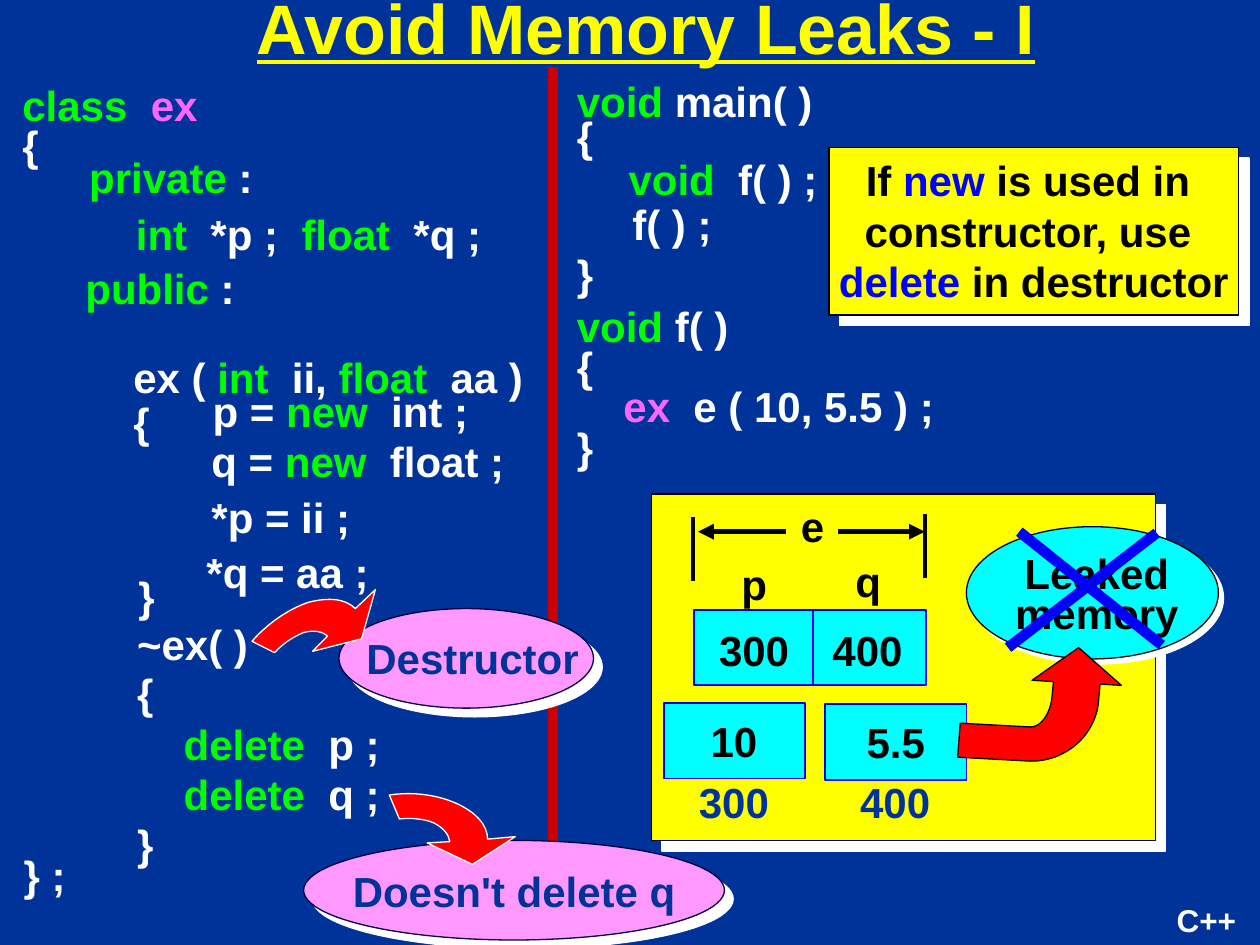
from math import cos, radians, sin

from pptx import Presentation
from pptx.util import Inches, Pt
from pptx.dml.color import RGBColor
from pptx.enum.shapes import MSO_CONNECTOR, MSO_SHAPE
from pptx.enum.text import PP_ALIGN
from pptx.oxml.ns import qn
from lxml.etree import SubElement

COLORS = dict(bg="003399", white="FFFFFF", green="00FF00", pink="FF66FF", yellow="FFFF00",
              black="000000", blue="0000FF", cyan="00FFFF", lilac="FF99FF", navy="000044",
              red="FF0000", divider="CC0000")
WIDTH, HEIGHT = Inches(10), Inches(7.5)
COLUMNS, ROWS = 100, 75
INDENT = 3.7

TITLE = ((16.7, -1.7, 69.1, 7.7), [(0, ["Avoid Memory Leaks - I"])])
CODE = [
    ((0.8, 6.6, 20, 7.4), 0.8, [
        (0, [("class  ", "green"), ("ex", "pink")]), (0, ["{"])]),
    ((6.1, 12.95, 35.5, 7.9), 0.6, [
        (0, [("private", "green"), " :"]),
        (INDENT, [("int", "green"), "  *p ;  ", ("float ", "green"), " *q ;"])]),
    ((5.8, 21.75, 14.3, 3.4), 0.6, [(0, [("public", "green"), " :"])]),
    ((9.6, 27.85, 35, 7.9), 0.9, [
        (0, ["ex ( ", ("int ", "green"), " ii, ", ("float ", "green"), " aa )"]), (0, ["{"])]),
    ((15.9, 30.1, 24, 5), 1, [(0, ["p = ", ("new", "green"), "  int ;"])]),
    ((15.8, 34.1, 27, 5), 1, [(0, ["q = ", ("new", "green"), "  float ;"])]),
    ((15.8, 38.5, 14, 5), 1, [(0, ["*p = ii ;"])]),
    ((15.4, 42.85, 16, 5), 1, [(0, ["*q = aa ;"])]),
    ((10, 44.8, 3.3, 5), 1, [(0, ["}"])]),
    ((9.9, 49.35, 12, 4), 0.8, [(0, ["~ex( )"])]),
    ((9.9, 52.5, 25, 17), 1, [
        (0, ["{"]), (INDENT, [("delete", "green"), "  p ;"]),
        (INDENT, [("delete", "green"), "  q ;"]), (0, ["}"])]),
    ((0.9, 66.9, 5.3, 5), 1, [(0, ["} ;"])]),
    ((44.8, 6.6, 22.3, 6.4), 0.7, [(0, [("void", "green"), " main( )"]), (0, ["{"])]),
    ((48.9, 11.7, 17, 5), 1, [(0, [("void ", "green"), " f( ) ;"])]),
    ((49.2, 15.3, 8.5, 5), 1, [(0, ["f( ) ;"])]),
    ((44.8, 19.2, 3.3, 5), 1, [(0, ["}"])]),
    ((44.8, 24.1, 34.4, 13.8), 0.8, [
        (0, [("void", "green"), " f( )"]), (0, ["{"]),
        (INDENT, [("ex", "pink"), "  e ( 10, 5.5 ) ;"]), (0, ["}"])]),
]
PRIVATE_GAP = {1: 15}

PANEL = (51.7, 39.2, 40, 27.5)
CELLS = [(55.1, 48.4, 18.4, 6), (52.7, 55.8, 11.2, 6), (65.5, 55.9, 11.2, 6)]
LABELS = [("p", "black", 59.85, 43.8), ("q", "black", 68.9, 43.6), ("e", "black", 64.5, 39.2),
          ("300", "black", 59.85, 49.1), ("400", "black", 68.85, 49.1),
          ("10", "black", 58.25, 56.3), ("5.5", "black", 71.1, 56.4),
          ("300", "bg", 58.25, 61.1), ("400", "bg", 71.05, 61.1)]
LABEL_WIDTH = 8.4
SPAN = [((55, 41), (55, 46.1), 2.25, False), ((73.4, 40.8), (73.4, 45.9), 2.25, False),
        ((55.4, 42.2), (62.4, 42.2), 3, True), ((73.4, 42.2), (66.5, 42.2), 3, True)]
NOTE_BOX, NOTE_TEXT_BOX = (65.8, 11.7, 32.5, 13.3), (65.2, 11.8, 33.7, 13)
NOTE = [(0, ["If ", ("new", "blue"), " is used in "]), (0, ["constructor, use "]),
        (0, [("delete", "blue"), " in destructor"])]
BALLOONS = [
    ((26.9, 48.3, 20.2, 7.9), (27.4, 49.7, 20.2, 5), "lilac", "navy", "bg", 7.1, ["Destructor"]),
    ((76.7, 41.8, 20, 10.5), (79, 43.7, 16.1, 7.4), "cyan", "black", "black", 4.2,
     ["Leaked", "memory"]),
    ((24.1, 66.7, 33.4, 7.9), (25.4, 68.2, 30.8, 5), "lilac", "navy", "bg", 7.1,
     ["Doesn't delete q"])]
CROSS = [((80.9, 42.2), (92.2, 51.2)), ((91.8, 42.3), (80, 51.4))]

ARROWS = [
    ("white", (16.4, 49, 14.2, 8.1), 315.3, [
        (26, 50.5), (25.6, 50.1, 24.9, 50, 24.1, 50.2), (23.4, 50.5, 22.5, 51, 21.8, 51.8),
        (20, 50.9), (21.3, 49.4, 23, 48.3, 24.5, 47.8), (26.1, 47.4, 27.4, 47.5, 28.2, 48.3),
        (29.8, 46.8), (28.7, 50.7), (24.8, 51.7)]),
    ("black", (78, 49.6, 9.2, 12.6), 93.2, [
        (76, 60.1), (81.5, 60.4), (84.5, 60.6, 87.1, 58.3, 87.2, 55.4), (87.3, 54.3),
        (89, 54.4), (85.6, 51.4), (81.9, 54), (83.6, 54.1), (83.5, 55.2),
        (83.4, 56.6, 82.6, 57.8, 81.7, 57.7), (76.2, 57.4)]),
    ("white", (25, 63, 14.2, 8.1), 356.4, [
        (35.7, 66.8), (35.6, 66.2, 35.2, 65.7, 34.4, 65.3), (33.7, 65, 32.7, 64.9, 31.7, 65),
        (30.9, 63.1), (32.8, 62.8, 34.8, 63.1, 36.3, 63.8), (37.8, 64.5, 38.7, 65.5, 38.7, 66.6),
        (40.9, 66.4), (37.5, 68.6), (33.9, 66.9)]),
]


def rgb(name):
    return RGBColor.from_string(COLORS[name])


def place(x, y):
    return round(x * WIDTH / COLUMNS), round(y * HEIGHT / ROWS)


def add_text(s, box, lines, color="white", size=24, align=PP_ALIGN.LEFT, spacing=1, gaps=(),
             underline=None, wrap=False):
    tf = s.shapes.add_textbox(*place(*box[:2]), *place(*box[2:])).text_frame
    tf.word_wrap = wrap
    for i, (indent, runs) in enumerate(lines):
        p = tf.paragraphs[0] if i == 0 else tf.add_paragraph()
        p.alignment, p.line_spacing = align, spacing
        if i in gaps:
            p.space_before = Pt(gaps[i])
        if indent:
            p._p.get_or_add_pPr().set("marL", str(place(indent, 0)[0]))
        for run in runs:
            text, tint = (run, color) if isinstance(run, str) else run
            r = p.add_run()
            r.text = text
            r.font.name, r.font.size, r.font.bold = "Arial", Pt(size), True
            r.font.underline = underline
            r.font.color.rgb = rgb(tint)


def paint(sp, fill, line, width=0.75, shadow=0):
    sp.shadow.inherit = False
    sp.fill.solid()
    sp.fill.fore_color.rgb = rgb(fill)
    sp.line.color.rgb = rgb(line)
    sp.line.width = Pt(width)
    if shadow:
        effects = sp._element.spPr.find(qn("a:effectLst"))
        outer = SubElement(effects, qn("a:outerShdw"), blurRad="0", dist=str(Pt(shadow)),
                           dir="2700000", algn="ctr", rotWithShape="0")
        SubElement(outer, qn("a:srgbClr"), val=COLORS["white"])


def add_block(s, box, fill, line, kind=MSO_SHAPE.RECTANGLE, **look):
    paint(s.shapes.add_shape(kind, *place(*box[:2]), *place(*box[2:])), fill, line, **look)


def add_line(s, start, end, color, width, head=False):
    sp = s.shapes.add_connector(MSO_CONNECTOR.STRAIGHT, *place(*start), *place(*end))
    sp.line.color.rgb = rgb(color)
    sp.line.width = Pt(width)
    if head:
        SubElement(sp._element.spPr.find(qn("a:ln")), qn("a:headEnd"), type="triangle")
    SubElement(sp._element.spPr, qn("a:effectLst"))


def turn_back(x, y, box, angle):
    cx, cy = box[0] + box[2] / 2, box[1] + box[3] / 2
    c, n = cos(radians(angle)), sin(radians(angle))
    return cx + (x - cx) * c + (y - cy) * n, cy - (x - cx) * n + (y - cy) * c


def add_arrow(s, line, box, angle, outline):
    points = [place(*turn_back(*part[i:i + 2], box, angle))
              for part in outline for i in range(0, len(part), 2)]
    builder = s.shapes.build_freeform(*points[0])
    builder.add_line_segments(points[1:], close=True)
    sp = builder.convert_to_shape()
    (left, top), (width, height) = place(*box[:2]), place(*box[2:])
    sp.left, sp.top, sp.width, sp.height, sp.rotation = left, top, width, height, angle
    track = next(sp._element.iter(qn("a:path")))
    track.set("w", str(width))
    track.set("h", str(height))
    for pt, (x, y) in zip(track.iter(qn("a:pt")), points):
        pt.set("x", str(x - left))
        pt.set("y", str(y - top))
    segments = iter(track.findall(qn("a:lnTo")))
    for part in outline[1:]:
        first = next(segments)
        if len(part) == 6:
            curve = track.makeelement(qn("a:cubicBezTo"))
            first.addprevious(curve)
            for segment in (first, next(segments), next(segments)):
                curve.append(segment[0])
                track.remove(segment)
    paint(sp, "red", line)


def main():
    prs = Presentation()
    prs.slide_width, prs.slide_height = WIDTH, HEIGHT
    s = prs.slides.add_slide(prs.slide_layouts[6])
    s.background.fill.solid()
    s.background.fill.fore_color.rgb = rgb("bg")

    add_block(s, PANEL, "yellow", "black", shadow=8.5)
    add_text(s, *TITLE, color="yellow", size=40, align=PP_ALIGN.CENTER, underline=True, wrap=True)
    add_line(s, (43.9, 5.3), (43.9, ROWS), "divider", 6)
    for box, spacing, lines in CODE:
        add_text(s, box, lines, spacing=spacing, gaps=PRIVATE_GAP if spacing == 0.6 else ())
    for box in CELLS:
        add_block(s, box, "cyan", "blue", width=1)
    add_line(s, (64.5, 48.3), (64.5, 54.4), "blue", 1)
    for text, color, center, y in LABELS:
        add_text(s, (center - LABEL_WIDTH / 2, y, LABEL_WIDTH, 5), [(0, [text])], color=color,
                 align=PP_ALIGN.CENTER)
    for start, end, width, head in SPAN:
        add_line(s, start, end, "black", width, head)
    add_block(s, NOTE_BOX, "yellow", "black", shadow=8.5)
    add_text(s, NOTE_TEXT_BOX, NOTE, color="black", align=PP_ALIGN.CENTER)
    for box, text_box, fill, line, color, shadow, words in BALLOONS:
        add_block(s, box, fill, line, kind=MSO_SHAPE.OVAL, shadow=shadow)
        add_text(s, text_box, [(0, [word]) for word in words], color=color,
                 align=PP_ALIGN.CENTER, spacing=0.8 if len(words) > 1 else 1)
    for start, end in CROSS:
        add_line(s, start, end, "blue", 6)
    for arrow in ARROWS:
        add_arrow(s, *arrow)
    add_text(s, (92.4, 71, 6.7, 4), [(0, ["C++"])], size=18)
    prs.save("out.pptx")


if __name__ == "__main__":
    main()
